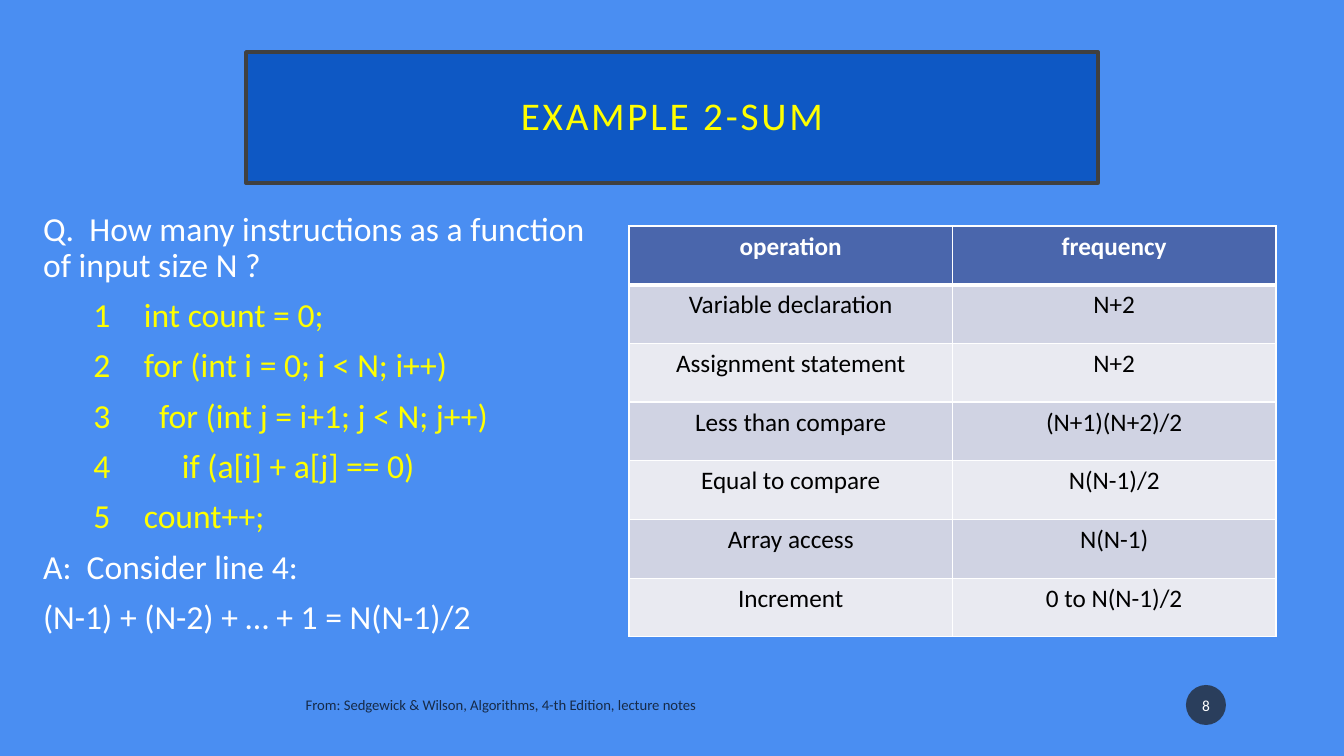
from lxml import etree
from pptx import Presentation
from pptx.dml.color import RGBColor
from pptx.enum.shapes import MSO_SHAPE
from pptx.enum.text import MSO_ANCHOR, MSO_AUTO_SIZE, PP_ALIGN
from pptx.oxml.ns import qn
from pptx.util import Pt

OVAL = MSO_SHAPE.OVAL
TOP, MIDDLE = MSO_ANCHOR.TOP, MSO_ANCHOR.MIDDLE
LEFT, CENTER = PP_ALIGN.LEFT, PP_ALIGN.CENTER
NO_FIT = MSO_AUTO_SIZE.NONE
SCALE = 914400 / 100.8
FONT = "Calibri"
HUES = {
    "back": "4A8EF2", "banner": "0E58C4", "frame": "404040",
    "yellow": "FFFF00", "white": "FFFFFF", "black": "000000",
    "badge": "1D1D1D", "head": "4A66AC", "odd": "D0D3E3", "even": "E9EAF1",
}
# (text, is code)
LINES = [
    ("Q.  How many instructions as a function of input size N ?", False),
    ("1\tint count = 0;", True),
    ("2\tfor (int i = 0; i < N; i++)", True),
    ("3\t  for (int j = i+1; j < N; j++)", True),
    ("4\t     if (a[i] + a[j] == 0)", True),
    ("5\tcount++;", True),
    ("A:  Consider line 4:", False),
    ("(N-1) + (N-2) + … + 1 = N(N-1)/2", False),
]
COUNTS = [
    ("operation", "frequency"),
    ("Variable declaration", "N+2"),
    ("Assignment statement", "N+2"),
    ("Less than compare", "(N+1)(N+2)/2"),
    ("Equal to compare", "N(N-1)/2"),
    ("Array access", "N(N-1)"),
    ("Increment", "0 to N(N-1)/2"),
]


def px(n):
    return round(n * SCALE)


def hue(name):
    return RGBColor.from_string(HUES[name])


def place(shape, box):
    shape.left, shape.top, shape.width, shape.height = map(px, box)


def paint(fill, name):
    fill.solid()
    fill.fore_color.rgb = hue(name)


def fade(node, percent):
    color = node.find(".//" + qn("a:srgbClr"))
    etree.SubElement(color, qn("a:alpha"), val=str(percent * 1000))


def write(para, text, size, color, align=LEFT, bold=False):
    para.alignment = align
    run = para.add_run()
    run.text = text
    font = run.font
    font.name, font.size, font.bold = FONT, Pt(size), bold
    font.color.rgb = hue(color)
    return run


def setup(frame, anchor):
    frame.word_wrap = True
    frame.auto_size = NO_FIT
    frame.vertical_anchor = anchor


def add_title(slide, box):
    title = slide.shapes.title
    place(title, box)
    paint(title.fill, "banner")
    title.line.color.rgb = hue("frame")
    title.line.width = Pt(2.5)
    frame = title.text_frame
    setup(frame, MIDDLE)
    frame.margin_left = frame.margin_right = px(20)
    frame.margin_top = frame.margin_bottom = px(20)
    para = frame.paragraphs[0]
    para.line_spacing = 0.9
    run = write(para, "EXAMPLE 2-SUM", 28, "yellow", CENTER)
    run.font._element.set("spc", "200")


def add_body(slide, box):
    body = slide.placeholders[1]
    place(body, box)
    frame = body.text_frame
    setup(frame, TOP)
    for i, (text, code) in enumerate(LINES):
        para = frame.add_paragraph() if i else frame.paragraphs[0]
        para.line_spacing = 0.9
        para.space_before = Pt(10)
        write(para, text, 24, "yellow" if code else "white")
        # Plain lines without bullets, code set in by half an inch
        props = para._p.get_or_add_pPr()
        props.set("marL", "457200" if code else "0")
        props.set("indent", "0")
        etree.SubElement(props, qn("a:buNone"))


def add_edge(cell, side, width):
    props = cell._tc.get_or_add_tcPr()
    edge = etree.SubElement(props, qn("a:ln" + side), w=str(Pt(width)))
    fill = etree.SubElement(edge, qn("a:solidFill"))
    etree.SubElement(fill, qn("a:srgbClr"), val=HUES["white"])


def add_counts(slide, box):
    rows, cols = len(COUNTS), len(COUNTS[0])
    table = slide.shapes.add_table(rows, cols, *map(px, box)).table
    for col in table.columns:
        col.width = px(box[2] / cols)
    for r, texts in enumerate(COUNTS):
        table.rows[r].height = px(box[3] / rows)
        for c, text in enumerate(texts):
            cell = table.cell(r, c)
            # The rule under the header is heavier
            for side in "LRTB":
                heavy = (r, side) in ((0, "B"), (1, "T"))
                add_edge(cell, side, 3 if heavy else 1)
            paint(cell.fill, ("odd" if r % 2 else "even") if r else "head")
            write(cell.text_frame.paragraphs[0], text, 18,
                  "black" if r else "white", CENTER, r == 0)


def add_badge(slide, box):
    badge = slide.shapes.add_shape(OVAL, *map(px, box))
    badge.shadow.inherit = False
    paint(badge.fill, "badge")
    fade(badge._element.spPr, 70)
    badge.line.fill.background()
    frame = badge.text_frame
    setup(frame, MIDDLE)
    frame.margin_left = frame.margin_right = px(2)
    write(frame.paragraphs[0], "8", 11, "white", CENTER)


def add_credit(slide, box):
    frame = slide.shapes.add_textbox(*map(px, box)).text_frame
    setup(frame, MIDDLE)
    text = "From: Sedgewick & Wilson, Algorithms, 4-th Edition, lecture notes"
    run = write(frame.paragraphs[0], text, 10.5, "black", CENTER)
    fade(run.font._element, 70)


def main():
    deck = Presentation()
    deck.slide_width, deck.slide_height = px(1344), px(756)
    slide = deck.slides.add_slide(deck.slide_layouts[1])
    paint(slide.background.fill, "back")
    add_title(slide, (246, 52, 852, 131))
    add_body(slide, (33, 207, 584, 443))
    add_badge(slide, (1186, 685, 40, 40))
    add_counts(slide, (629, 226, 647, 411))
    add_credit(slide, (176, 687, 650, 35))
    deck.save("out.pptx")


if __name__ == "__main__":
    main()
